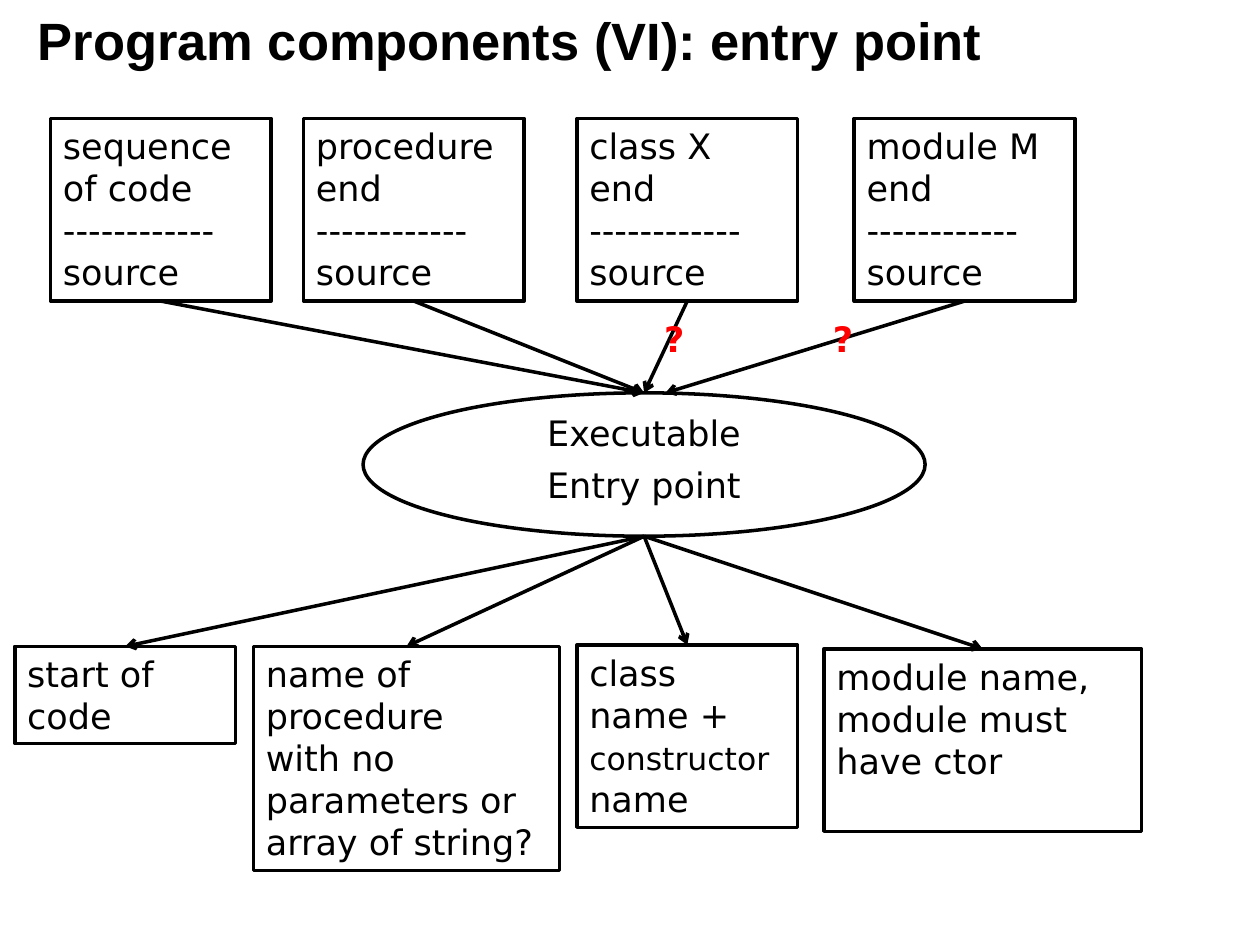
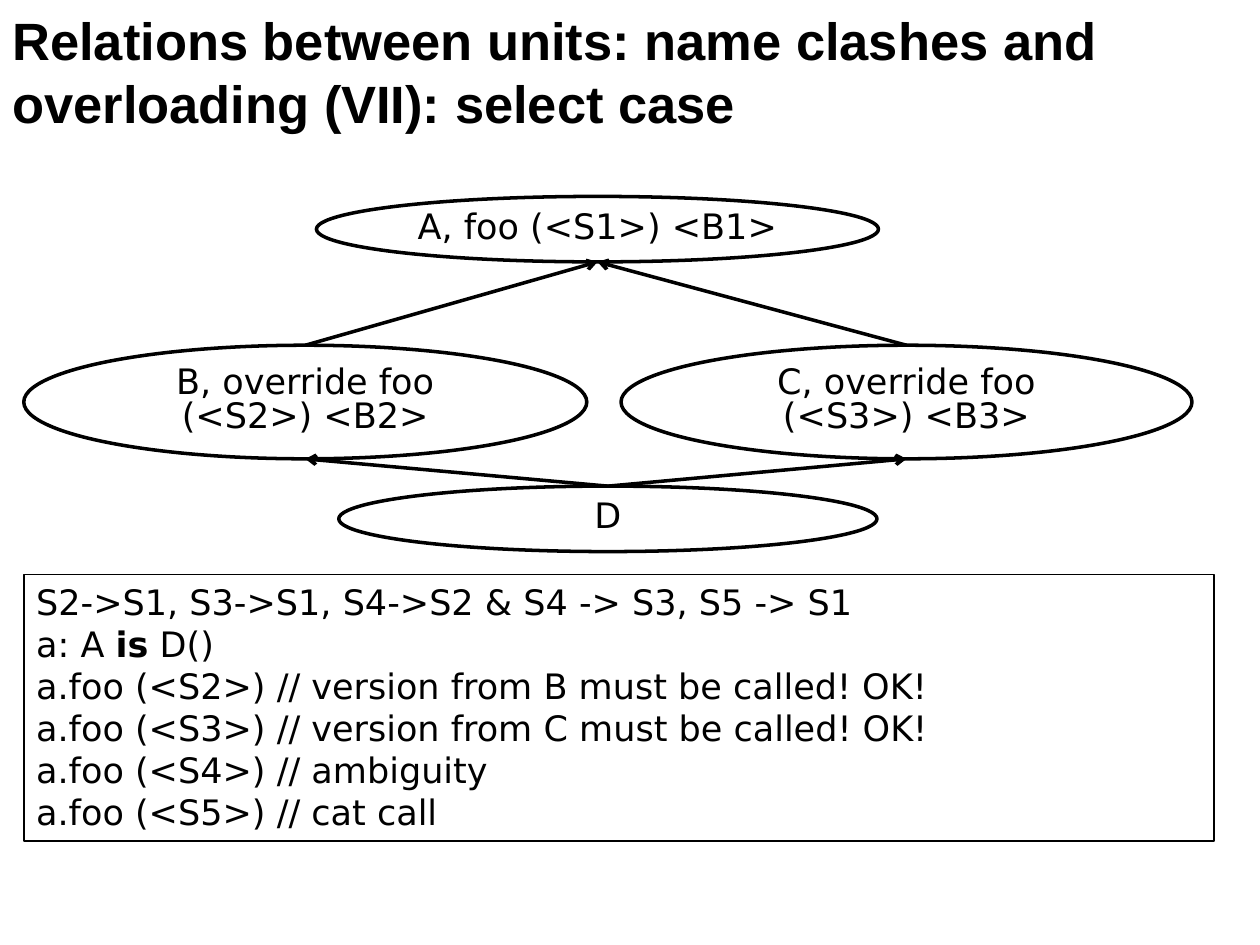
from lxml.etree import SubElement
from pptx import Presentation
from pptx.dml.color import RGBColor
from pptx.enum.shapes import MSO_CONNECTOR, MSO_SHAPE
from pptx.enum.text import MSO_ANCHOR, PP_ALIGN
from pptx.oxml.ns import qn
from pptx.util import Cm, Pt

INK, ALERT = "000000", "FF0000"
TITLE = {"name": "Arial", "size": Pt(30), "bold": True}
BODY = {"name": "DejaVu Sans", "size": Pt(20), "bold": False}
NODE_PARA = {"alignment": PP_ALIGN.CENTER, "line_spacing": 0.8, "space_before": Pt(10)}
LEFT_PARA = {"alignment": PP_ALIGN.LEFT}
TOP, BOTTOM = 0, 2


def colour(value):
    return RGBColor.from_string(value)


def set_all(target, values):
    for name, value in values.items():
        setattr(target, name, value)


def write(shape, paragraphs, font=BODY, para_format=LEFT_PARA, ink=INK):
    """Each paragraph is a string or a list of (text, font changes)."""
    frame = shape.text_frame
    set_all(frame, {"word_wrap": True, "vertical_anchor": MSO_ANCHOR.TOP})
    for index, content in enumerate(paragraphs):
        para = frame.add_paragraph() if index else frame.paragraphs[0]
        set_all(para, para_format)
        for text, changes in [(content, {})] if isinstance(content, str) else content:
            span = para.add_run()
            span.text = text
            set_all(span.font, font | changes)
            span.font.color.rgb = colour(ink)


def add_text(page, box, text, font, ink=INK):
    write(page.shapes.add_textbox(*map(Cm, box)), [text], font, ink=ink)


def add_outline(page, kind, box, paragraphs, para_format=LEFT_PARA, weight=2):
    shape = page.shapes.add_shape(kind, *map(Cm, box))
    shape.shadow.inherit = False
    shape.fill.background()
    shape.line.color.rgb = colour(INK)
    shape.line.width = Pt(weight)
    write(shape, paragraphs, para_format=para_format)
    return shape


def add_box(page, box, paragraphs, weight=2):
    return add_outline(page, MSO_SHAPE.RECTANGLE, box, paragraphs, weight=weight)


def add_node(page, box, text):
    return add_outline(page, MSO_SHAPE.OVAL, box, text, NODE_PARA)


def middle(shape, side):
    """Middle of the top or bottom side."""
    return shape.left + shape.width // 2, shape.top + (shape.height if side == BOTTOM else 0)


def add_arrow(page, start, end):
    arrow = page.shapes.add_connector(MSO_CONNECTOR.STRAIGHT, *start, *end)
    arrow.line.color.rgb = colour(INK)
    arrow.line.width = Pt(2)
    SubElement(arrow.line._get_or_add_ln(), qn("a:tailEnd"), type="arrow")
    SubElement(arrow._element.spPr, qn("a:effectLst"))
    return arrow


def new_page(deck, title, title_box):
    page = deck.slides.add_slide(deck.slide_layouts[6])
    add_text(page, title_box, title, TITLE)
    return page


def source_row(page, box, entry):
    """Kinds of source, each with an arrow down to the entry point."""
    left, top, width, height = box
    rule = "------------"
    sources = [
        (0, ["sequence of code"]),
        (5.1, ["procedure", "end"]),
        (10.61, ["class X", "end"]),
        (16.2, ["module M", "end"]),
    ]
    target = middle(entry, TOP)
    for offset, lines in sources:
        source = add_box(page, (left + offset, top, 4.45, height), lines + [rule, "source"])
        # The module arrow lands a little to the right
        end = (target[0] + Cm(0.43), target[1]) if lines[0] == "module M" else target
        add_arrow(page, middle(source, BOTTOM), end).begin_connect(source, BOTTOM)


def doubt_marks(page, box):
    left, top, width, height = box
    for offset, mark_width in [(0, 0.43), (3.33, 0.89)]:
        add_text(page, (left + offset, top, mark_width, height), "?",
                 BODY | {"bold": True}, ALERT)


def start_row(page, box, entry):
    """What each kind of entry point is, reached from the entry node."""
    left, top, width, height = box
    starts = [
        ((0, 0.03, 4.45, 1.96), ["start of code"]),
        ((4.81, 0.03, 6.17, 4.52),
         ["name of procedure", "with no parameters or array of string?"]),
        ((11.33, 0, 4.45, 3.68),
         ["class name +", [("constructor", {"size": Pt(18)}), (" name", {})]]),
        ((16.31, 0.08, 6.4, 3.68), ["module name,", "module must have ctor"]),
    ]
    for (x, y, box_width, box_height), lines in starts:
        start = add_box(page, (left + x, top + y, box_width, box_height), lines)
        add_arrow(page, middle(entry, BOTTOM), middle(start, TOP)).end_connect(start, TOP)


def inheritance_diamond(page, box):
    """A on top, B and C overriding it, D inheriting from both."""
    left, top, width, height = box
    places = [
        ((5.9, 0, 11.33, 1.32), "A, foo (<S1>) <B1>"),
        ((0, 3, 11.35, 2.29), "B, override foo (<S2>) <B2>"),
        ((12.04, 3, 11.51, 2.29), "C, override foo (<S3>) <B3>"),
        ((6.35, 5.84, 10.85, 1.32), "D"),
    ]
    base, first, second, heir = [
        add_node(page, (left + x, top + y, w, h), [text]) for (x, y, w, h), text in places
    ]
    for parent in (first, second):
        add_arrow(page, middle(heir, TOP), middle(parent, BOTTOM))
        add_arrow(page, middle(parent, TOP), middle(base, BOTTOM))


def entry_point_page(deck):
    page = new_page(deck, "Program components (VI): entry point", (0.51, 0.03, 22.86, 1.55))
    entry = add_node(page, (7.32, 7.92, 11.33, 2.89), ["Executable", "Entry point"])
    source_row(page, (1.02, 2.39, 20.65, 3.68), entry)
    start_row(page, (0.3, 13, 22.71, 4.55), entry)
    doubt_marks(page, (13.21, 6.27, 4.22, 1.12))


def name_clash_page(deck):
    page = new_page(
        deck,
        "Relations between units: name clashes and overloading (VII): select case",
        (0, 0.03, 25.4, 1.55),
    )
    inheritance_diamond(page, (0.48, 3.96, 23.55, 7.16))
    # Calls and which version they reach
    add_box(page, (0.48, 11.58, 24, 5.38), [
        "S2->S1, S3->S1, S4->S2 & S4 -> S3, S5 -> S1",
        [("a: A ", {}), ("is", {"bold": True}), (" D()", {})],
        "a.foo (<S2>) // version from B must be called! OK!",
        "a.foo (<S3>) // version from C must be called! OK!",
        "a.foo (<S4>) // ambiguity",
        "a.foo (<S5>) // cat call",
    ], weight=1)


def main():
    deck = Presentation()
    set_all(deck, {"slide_width": Cm(25.4), "slide_height": Cm(19.05)})
    entry_point_page(deck)
    name_clash_page(deck)
    deck.save("out.pptx")


if __name__ == "__main__":
    main()
